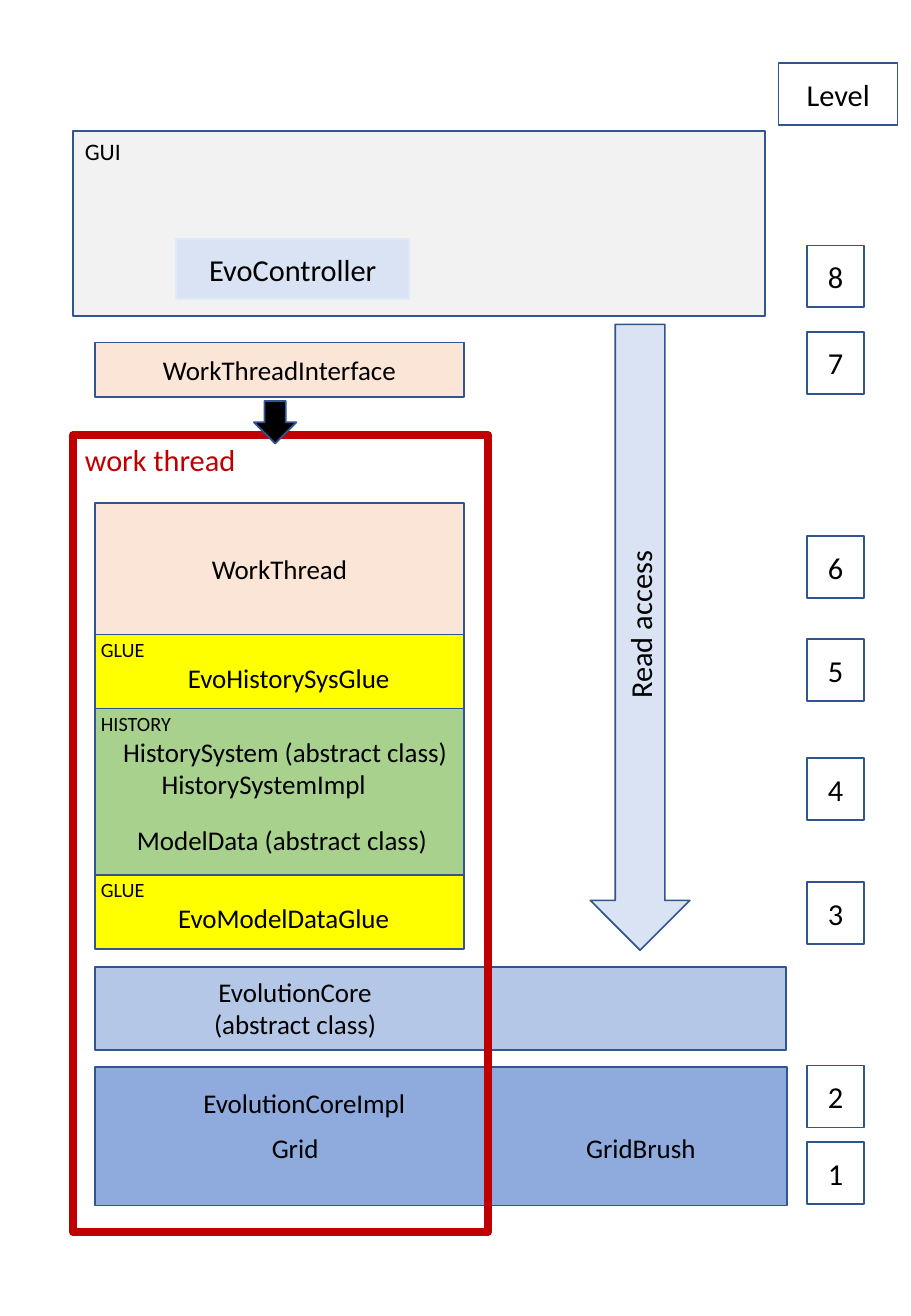
from pptx import Presentation
from pptx import util as u
from pptx.dml.color import RGBColor
from pptx.enum import shapes, text

Pt = u.Pt
HUES = {
    "edge": "325491", "ink": "000000", "white": "FFFFFF", "red": "C00000",
    "gray": "F2F2F2", "peach": "FBE5D6", "yellow": "FFFF00", "green": "A9D18E",
    "pale": "DAE3F3", "rim": "DEEBF7", "core": "B4C7E7", "grid": "8FAADC",
}
RECT = shapes.MSO_SHAPE.RECTANGLE
ARROW = shapes.MSO_SHAPE.DOWN_ARROW
MID = {"anchor": text.MSO_ANCHOR.MIDDLE, "align": text.PP_ALIGN.CENTER}
TOP = {"anchor": text.MSO_ANCHOR.TOP, "align": text.PP_ALIGN.LEFT}
STACK_X, STACK_W = 56.2, 218.9
TIGHT = (3.6, 1.44)
LEVELS = {8: 145.4, 7: 196.6, 6: 317.5, 5: 378.7, 4: 449.3,
          3: 522.7, 2: 631.4, 1: 676.8}


def hue(name):
    return RGBColor.from_string(HUES[name])


def apply(item, form):
    for key, value in form.items():
        setattr(item, key, value)


def write(shape, lines, mode=MID, size=16, ink="ink", inset=(7.2, 3.6)):
    frame = shape.text_frame
    side, edge = (Pt(n) for n in inset)
    apply(frame, {"word_wrap": True, "vertical_anchor": mode["anchor"],
                  "margin_left": side, "margin_right": side,
                  "margin_top": edge, "margin_bottom": edge})
    for i, line in enumerate(lines):
        words, points, indent, gap = (line, size, 0, 0) if isinstance(line, str) else line
        para = frame.add_paragraph() if i else frame.paragraphs[0]
        para._p.get_or_add_pPr().set("marL", str(Pt(indent)))
        apply(para, {"alignment": mode["align"], "space_before": Pt(gap)})
        run = para.add_run()
        run.text = words
        apply(run.font, {"name": "Calibri", "size": Pt(points)})
        run.font.color.rgb = hue(ink)


def block(slide, box, fill, line="edge", width=1, kind=RECT):
    shape = slide.shapes.add_shape(kind, *(Pt(n) for n in box))
    shape.shadow.inherit = False
    if fill:
        shape.fill.solid()
        shape.fill.fore_color.rgb = hue(fill)
    else:
        shape.fill.background()
    shape.line.color.rgb = hue(line)
    shape.line.width = Pt(width)
    return shape


def label(slide, box, words):
    write(slide.shapes.add_textbox(*(Pt(n) for n in box)), [words])


def layer(slide, top, height, fill, lines, mode=TOP):
    shape = block(slide, (STACK_X, top, STACK_W, height), fill)
    write(shape, lines, mode, inset=TIGHT)


def stack(slide):
    layer(slide, 298.1, 77.8, "peach", ["WorkThread"], MID)
    layer(slide, 375.9, 43.9, "yellow",
          [("GLUE", 12, 0, 0), ("EvoHistorySysGlue", 16, 51.6, 0)])
    layer(slide, 419.8, 98.6, "green",
          [("HISTORY", 12, 0, 0),
           ("HistorySystem (abstract class)", 16, 13.2, 0),
           ("HistorySystemImpl", 16, 36, 0),
           ("ModelData (abstract class)", 16, 21.4, 14)])


def levels(slide):
    write(block(slide, (461.5, 37.4, 70.6, 36.7), "white"), ["Level"], size=18)
    for number, top in LEVELS.items():
        box = block(slide, (478.5, top, 33.8, 36.7), "white")
        write(box, [str(number)], size=18)


def thread(slide):
    frame = block(slide, (43.2, 257.8, 246.2, 472.3), None, "red", 4.5)
    write(frame, ["work thread"], TOP, 18, "red")
    face = block(slide, (STACK_X, 203, STACK_W, 32.4), "peach")
    write(face, ["WorkThreadInterface"])
    block(slide, (150.5, 237.6, 25.2, 25.2), "ink", kind=ARROW)
    layer(slide, 518.4, 43.9, "yellow",
          [("GLUE", 12, 0, 0), ("EvoModelDataGlue", 16, 45.8, 0)])


def access(slide):
    arrow = block(slide, (349.9, 192.2, 59, 370.8), "pale", kind=ARROW)
    write(arrow, ["Read access"], size=18)
    arrow.text_frame._txBody.bodyPr.set("vert", "vert270")


def main():
    deck = Presentation()
    apply(deck, {"slide_width": Pt(540), "slide_height": Pt(779.76)})
    slide = deck.slides.add_slide(deck.slide_layouts[6])
    block(slide, (STACK_X, 573.1, 409.7, 49), "core")
    stack(slide)
    block(slide, (STACK_X, 632.2, 410.4, 82.1), "grid")
    write(block(slide, (43.2, 77.8, 410.4, 109.4), "gray"), ["GUI"], TOP, 14)
    levels(slide)
    thread(slide)
    access(slide)
    label(slide, (93.6, 578.9, 162.7, 36.7), "EvolutionCore (abstract class)")
    pilot = block(slide, (104.4, 141.8, 138.2, 35.3), "pale", "rim")
    write(pilot, ["EvoController"], size=18)
    label(slide, (93.6, 635, 173.5, 36.7), "EvolutionCoreImpl")
    label(slide, (93.6, 661.7, 162.7, 36.7), "Grid")
    label(slide, (315.4, 661.7, 128.9, 36.7), "GridBrush")
    deck.save("out.pptx")


if __name__ == "__main__":
    main()
